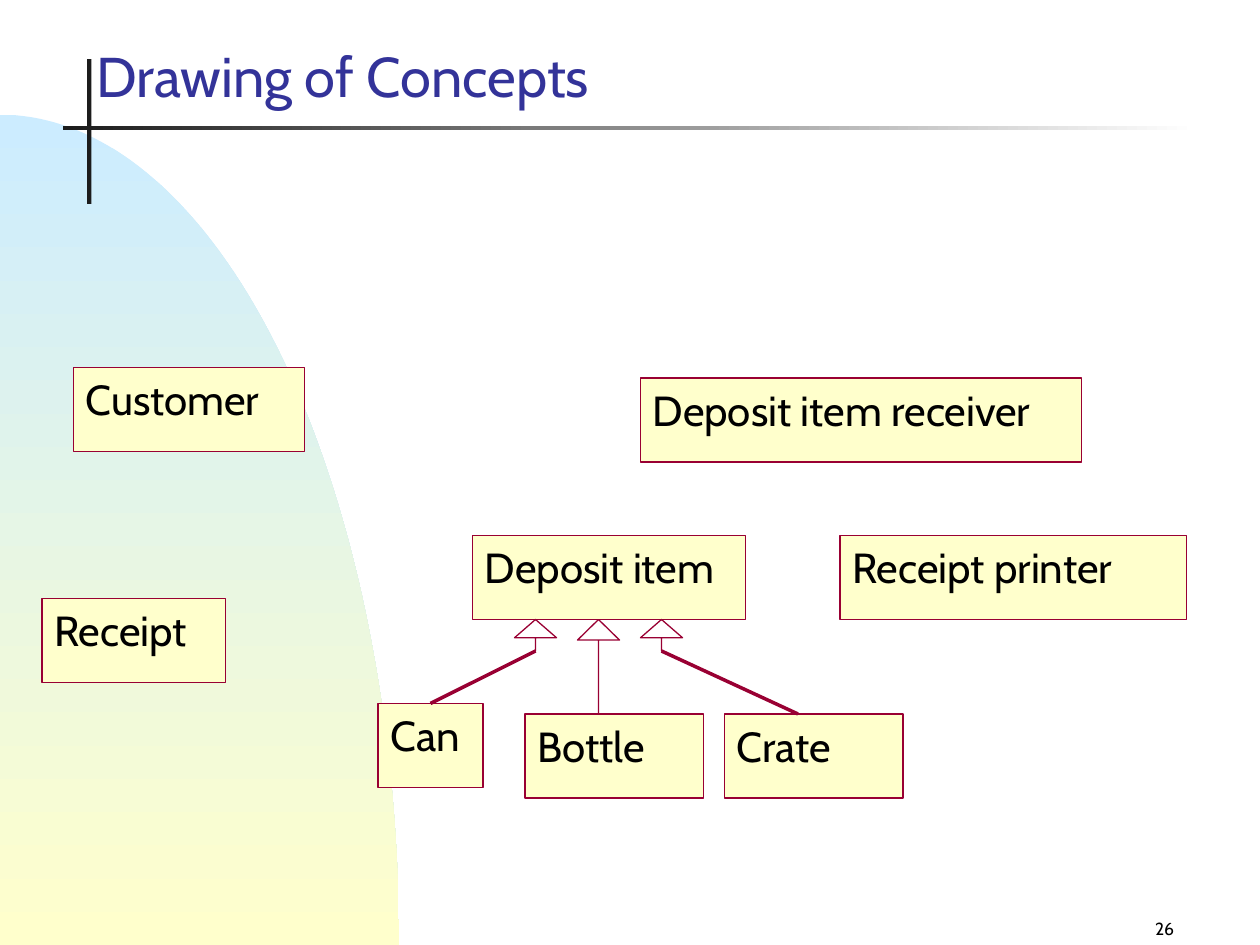
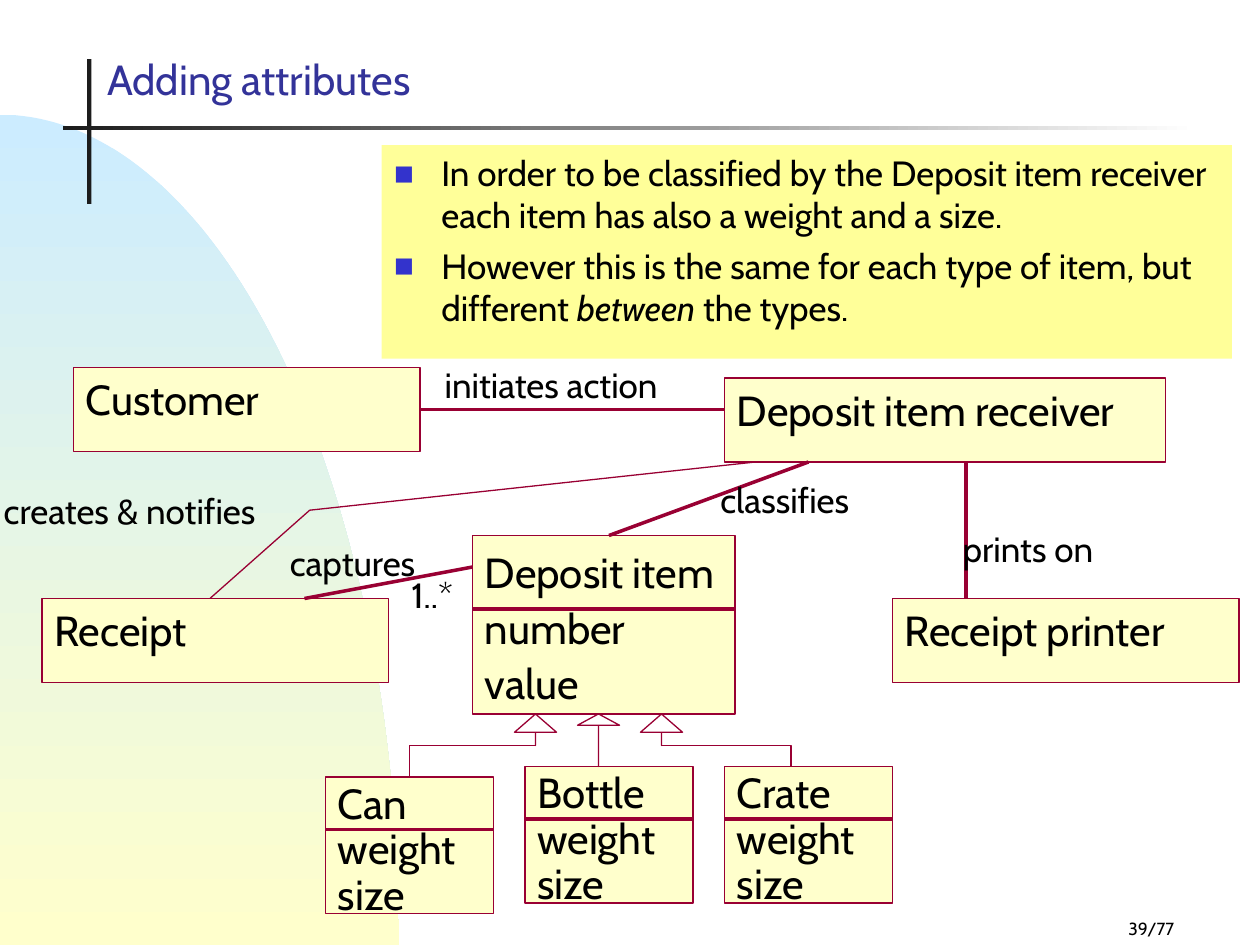
from math import cos, pi, sin

from lxml import etree
from pptx import Presentation
from pptx.dml.color import RGBColor
from pptx.enum.shapes import MSO_CONNECTOR, MSO_SHAPE
from pptx.enum.text import MSO_ANCHOR, MSO_AUTO_SIZE, PP_ALIGN
from pptx.oxml.ns import qn
from pptx.util import Pt

RECTANGLE, UP_ARROW = MSO_SHAPE.RECTANGLE, MSO_SHAPE.UP_ARROW
STRAIGHT = MSO_CONNECTOR.STRAIGHT
TOP, BOTTOM = MSO_ANCHOR.TOP, MSO_ANCHOR.BOTTOM
LEFT, RIGHT = PP_ALIGN.LEFT, PP_ALIGN.RIGHT
NO_AUTOFIT = MSO_AUTO_SIZE.NONE

FONT = "Cabin"
COLORS = {
    "text": "000000", "title": "333399", "bullet": "3333CC", "ink": "1C1C1C",
    "white": "FFFFFF", "sky": "CCECFF", "cream": "FFFFCC", "note": "FFFF99",
    "outline": "990033",
}
RGB = {name: RGBColor.from_string(value) for name, value in COLORS.items()}


def format_text(frame, size, color="text", anchor=TOP, align=LEFT, spacing=None):
    frame.auto_size = NO_AUTOFIT
    frame.vertical_anchor = anchor
    for paragraph in frame.paragraphs:
        paragraph.alignment = align
        paragraph.line_spacing = spacing
        for run in paragraph.runs:
            run.font.name, run.font.size = FONT, Pt(size)
            run.font.color.rgb = RGB[color]


def paint(shape, fill=None, fade_to=None, angle=0, outline=None):
    shape.shadow.inherit = False
    if fade_to:
        shape.fill.gradient()
        shape.fill.gradient_angle = angle
        for stop, color in zip(shape.fill.gradient_stops, (fill, fade_to)):
            stop.color.rgb = RGB[color]
    elif fill:
        shape.fill.solid()
        shape.fill.fore_color.rgb = RGB[fill]
    else:
        shape.fill.background()
    if outline:
        shape.line.color.rgb = RGB[outline]
        shape.line.width = Pt(0)
    else:
        shape.line.fill.background()


# Class: text, left, top, width, height, divider offset, line spacing
# Arrow: left, top, height, head ratio
concepts = {
    "layout": 5, "number": "26",
    "title": ("Drawing of Concepts", 32, (48, 12, 510, 54)),
    "classes": [
        ("Customer", 42, 210, 132, 48, None, None),
        ("Deposit item receiver", 366, 216, 252, 48, None, None),
        ("Receipt", 24, 342, 105, 48, None, None),
        ("Deposit item", 270, 306, 156, 48, None, None),
        ("Receipt printer", 480, 306, 198, 48, None, None),
        ("Can", 216, 402, 60, 48, None, None),
        ("Bottle", 300, 408, 102, 48, None, None),
        ("Crate", 414, 408, 102, 48, None, None),
    ],
    "arrows": [(294, 354, 18, 0.58), (330, 354, 54, 0.49), (366, 354, 18, 0.58)],
    "lines": [((306, 372), (246, 402)), ((378, 372), (456, 408))],
    "bent_lines": [],
    "labels": [],
}
attributes = {
    "layout": 1, "number": "39/77",
    "title": ("Adding attributes", 24, (54, 26, 269, 37)),
    "classes": [
        ("Customer", 42, 210, 198, 48, None, None),
        ("Deposit item receiver", 414, 216, 252, 48, None, None),
        ("Receipt", 24, 342, 198, 48, None, None),
        ("Deposit item\nnumber\nvalue", 270, 306, 150, 102, 42, 1.1),
        ("Receipt printer", 510, 342, 198, 48, None, None),
        ("Bottle\nweight\nsize", 300, 438, 96, 78, 30, 0.9),
        ("Crate\nweight\nsize", 414, 438, 96, 78, 30, 0.9),
        ("Can\nweight\nsize", 186, 444, 96, 78, 30, 0.9),
    ],
    "arrows": [(294, 408, 18, 0.58), (330, 408, 30, 0.27), (366, 408, 18, 0.58)],
    "lines": [
        ((240, 234), (414, 234)),
        ((462, 264), (348, 306)),
        ((174, 342), (270, 324)),
        ((552, 264), (552, 342)),
    ],
    "bent_lines": [
        [(306, 426), (234, 426), (234, 444)],
        [(378, 426), (452, 426), (452, 438)],
        [(432, 264), (177, 291.6), (120, 342)],
    ],
    "labels": [
        ("initiates action", 247, 204, 152),
        ("classifies", 404.5, 270, 98),
        ("creates & notifies", -5, 276, 178),
        ("captures", 158.5, 306, 96.5),
        ("prints on", 543, 298, 98.5),
        ("1..*", 228, 324, 47.5),
    ],
}
# Every second piece of a note is italic
notes = [
    ["In order to be classified by the Deposit item receiver each item has also "
     "a weight and a size."],
    ["However this is the same for each type of item, but different ",
     "between ", "the types."],
]
curve = [(228 * sin(step * pi / 160), 540 - 474.5 * cos(step * pi / 160))
         for step in range(81)]

prs = Presentation()
prs.slide_width, prs.slide_height = Pt(720), Pt(540)

for content in (concepts, attributes):
    slide = prs.slides.add_slide(prs.slide_layouts[content["layout"]])
    shapes = slide.shapes

    # Backdrop: hill and crossed bars
    builder = shapes.build_freeform(Pt(0), Pt(540))
    builder.add_line_segments([(Pt(x), Pt(y)) for x, y in curve])
    paint(builder.convert_to_shape(), "sky", "cream", 270)
    upright_bar = shapes.add_shape(RECTANGLE, Pt(49.8), Pt(33.8), Pt(2.5), Pt(82.8))
    paint(upright_bar, "ink")
    level_bar = shapes.add_shape(RECTANGLE, Pt(36), Pt(72), Pt(648), Pt(2.25))
    paint(level_bar, "ink", "white")

    # Slide number
    number = shapes.add_textbox(Pt(528), Pt(516), Pt(150), Pt(24))
    number.text_frame.word_wrap = True
    number.text_frame.text = content["number"]
    format_text(number.text_frame, 10, anchor=BOTTOM, align=RIGHT)

    # Title
    title = shapes.title
    heading, size, place = content["title"]
    title.left, title.top, title.width, title.height = map(Pt, place)
    title.text_frame.text = heading
    format_text(title.text_frame, size, "title", BOTTOM)

    # Classes with their dividers
    lines = list(content["lines"])
    side_middles = {}
    for text, left, top, width, height, divider, spacing in content["classes"]:
        concept = shapes.add_shape(RECTANGLE, Pt(left), Pt(top), Pt(width), Pt(height))
        paint(concept, "cream", outline="outline")
        concept.text_frame.text = text
        format_text(concept.text_frame, 24, spacing=spacing)
        middle, centre = left + width / 2, top + height / 2
        sides = [(middle, top), (left, centre),
                 (middle, top + height), (left + width, centre)]
        for site, point in enumerate(sides):
            side_middles[point] = (concept, site)
        if divider:
            lines.append(((left, top + divider), (left + width, top + divider)))

    # Generalization arrows
    for left, top, height, head in content["arrows"]:
        arrow = shapes.add_shape(UP_ARROW, Pt(left), Pt(top), Pt(24), Pt(height))
        arrow.adjustments[0], arrow.adjustments[1] = 0, head
        paint(arrow, outline="outline")

    # Straight lines, joined where they meet the middle of a side
    for start, end in lines:
        link = shapes.add_connector(STRAIGHT, *map(Pt, start + end))
        link.line.color.rgb = RGB["outline"]
        link.line.width = Pt(0)
        etree.SubElement(link._element.spPr, qn("a:effectLst"))
        if start in side_middles:
            link.begin_connect(*side_middles[start])
        if end in side_middles:
            link.end_connect(*side_middles[end])

    # Bent lines
    for start, *bends in content["bent_lines"]:
        builder = shapes.build_freeform(*map(Pt, start))
        builder.add_line_segments([(Pt(x), Pt(y)) for x, y in bends], close=False)
        paint(builder.convert_to_shape(), outline="outline")

    # Association labels
    for text, left, top, width in content["labels"]:
        label = shapes.add_textbox(Pt(left), Pt(top), Pt(width), Pt(31.5))
        label.text_frame.word_wrap = False
        label.text_frame.text = text
        format_text(label.text_frame, 20)

# Notes on the attributes slide, the last one built
paint(title, "white")
body = slide.placeholders[1]
body.left, body.top, body.width, body.height = map(Pt, (218, 83, 486, 122))
paint(body, "note")
for index, pieces in enumerate(notes):
    frame = body.text_frame
    paragraph = frame.add_paragraph() if index else frame.paragraphs[0]
    properties = paragraph._p.get_or_add_pPr()
    properties.set("marL", str(Pt(27)))
    properties.set("indent", str(-Pt(27)))
    bullet_color = etree.SubElement(properties, qn("a:buClr"))
    etree.SubElement(bullet_color, qn("a:srgbClr"), val=COLORS["bullet"])
    etree.SubElement(properties, qn("a:buSzPct"), val="60000")
    etree.SubElement(properties, qn("a:buFont"), typeface=FONT)
    etree.SubElement(properties, qn("a:buChar"), char="■")
    paragraph.space_before = Pt(5 if index else 0)
    for position, piece in enumerate(pieces):
        run = paragraph.add_run()
        run.text = piece
        run.font.italic = position % 2 == 1
format_text(body.text_frame, 20)

prs.save("out.pptx")
